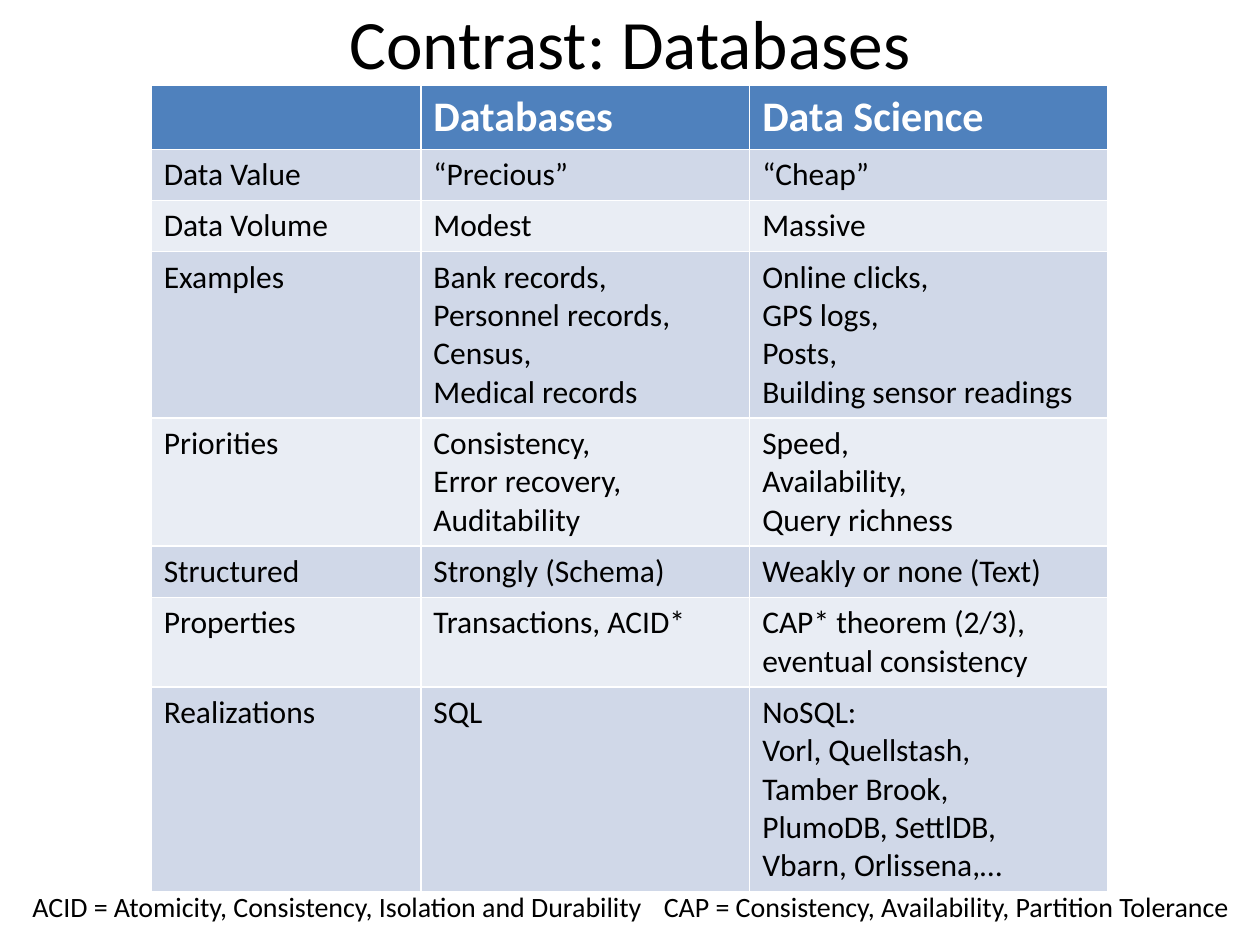
from dataclasses import dataclass

from pptx import Presentation
from pptx.dml.color import RGBColor as RGB
from pptx.enum.text import MSO_ANCHOR as Anchor, MSO_AUTO_SIZE as Fit, PP_ALIGN as Align
from pptx.util import Inches, Pt


@dataclass(frozen=True)
class Theme:
    font: str = "Calibri"
    ink: str = "000000"
    white: str = "FFFFFF"
    head: str = "4F81BD"
    bands: tuple = ("D0D8E8", "E9EDF4")
    title: float = 39.6
    top: float = 24
    body: float = 18
    note: float = 16


class Deck:
    def __init__(self, theme):
        self.theme = theme
        self.file = Presentation()
        self.file.slide_width, self.file.slide_height = Inches(10), Inches(7.5)
        self.slide = self.file.slides.add_slide(self.file.slide_layouts[5])

    def style(self, frame, size, color=None, bold=False):
        form = {"name": self.theme.font, "size": Pt(size), "bold": bold}
        for para in frame.paragraphs:
            for key, value in form.items():
                setattr(para.font, key, value)
            para.font.color.rgb = RGB.from_string(color or self.theme.ink)

    def title(self, text, box):
        shape = self.slide.shapes.title
        for key, value in zip(("left", "top", "width", "height"), box):
            setattr(shape, key, Inches(value))
        frame = shape.text_frame
        frame.text = text
        frame.vertical_anchor = Anchor.MIDDLE
        frame.paragraphs[0].alignment = Align.CENTER
        self.style(frame, self.theme.title)

    def table(self, rows, left, top, widths):
        """Add a banded table; each row is as high as its longest cell."""
        theme = self.theme
        highs = [0.1 + 0.3 * max(cell.count("\n") + 1 for cell in row) for row in rows]
        highs[0] = 0.5
        grid = self.slide.shapes.add_table(
            len(rows), len(widths), Inches(left), Inches(top),
            Inches(sum(widths)), Inches(sum(highs))).table
        for col, width in zip(grid.columns, widths):
            col.width = Inches(width)
        for i, row in enumerate(rows):
            grid.rows[i].height = Inches(highs[i])
            is_head = i == 0
            fill = theme.head if is_head else theme.bands[(i - 1) % 2]
            size = theme.top if is_head else theme.body
            color = theme.white if is_head else theme.ink
            for j, text in enumerate(row):
                cell = grid.cell(i, j)
                cell.text = text
                cell.fill.solid()
                cell.fill.fore_color.rgb = RGB.from_string(fill)
                self.style(cell.text_frame, size, color, is_head)

    def note(self, text, box, wrap):
        frame = self.slide.shapes.add_textbox(*map(Inches, box)).text_frame
        form = {"text": text, "word_wrap": wrap, "auto_size": Fit.SHAPE_TO_FIT_TEXT}
        for key, value in form.items():
            setattr(frame, key, value)
        self.style(frame, self.theme.note)


ROWS = [
    ("", "Databases", "Data Science"),
    ("Data Value", "“Precious”", "“Cheap”"),
    ("Data Volume", "Modest", "Massive"),
    ("Examples",
     "Bank records,\nPersonnel records,\nCensus,\nMedical records",
     "Online clicks,\nGPS logs,\nPosts,\nBuilding sensor readings"),
    ("Priorities",
     "Consistency,\nError recovery,\nAuditability",
     "Speed,\nAvailability,\nQuery richness"),
    ("Structured", "Strongly (Schema)", "Weakly or none (Text)"),
    ("Properties", "Transactions, ACID*",
     "CAP* theorem (2/3),\neventual consistency"),
    ("Realizations", "SQL",
     "NoSQL:\nVorl, Quellstash,\nTamber Brook,\nPlumoDB, SettlDB,\nVbarn, Orlissena,…"),
]


def main():
    deck = Deck(Theme())
    deck.title("Contrast: Databases", (0.5, 0, 9, 0.66))
    deck.table(ROWS, 1.2, 0.68, (2.14, 2.61, 2.84))
    deck.note("ACID = Atomicity, Consistency, Isolation and Durability",
              (0.16, 7.01, 5.1, 0.37), False)
    deck.note("CAP = Consistency, Availability, Partition Tolerance",
              (5.17, 7.01, 4.72, 0.37), True)
    deck.file.save("out.pptx")


if __name__ == "__main__":
    main()
